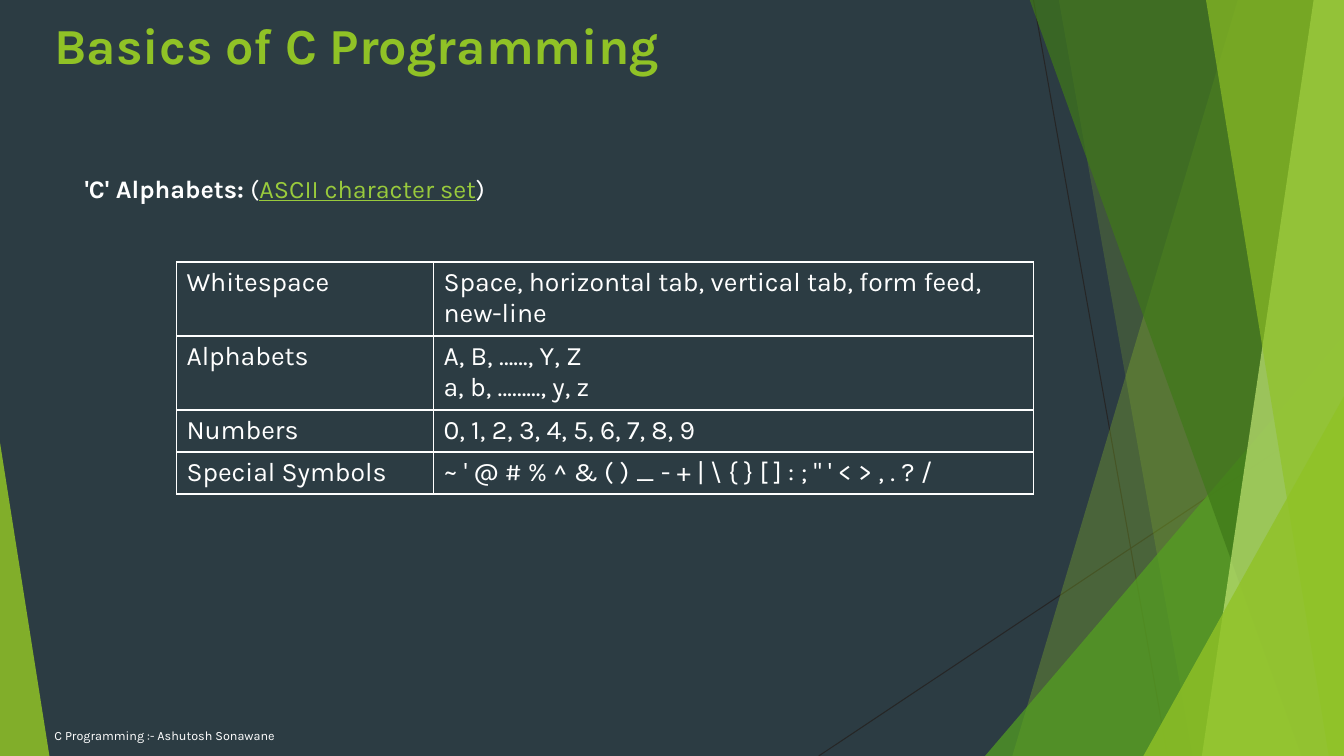
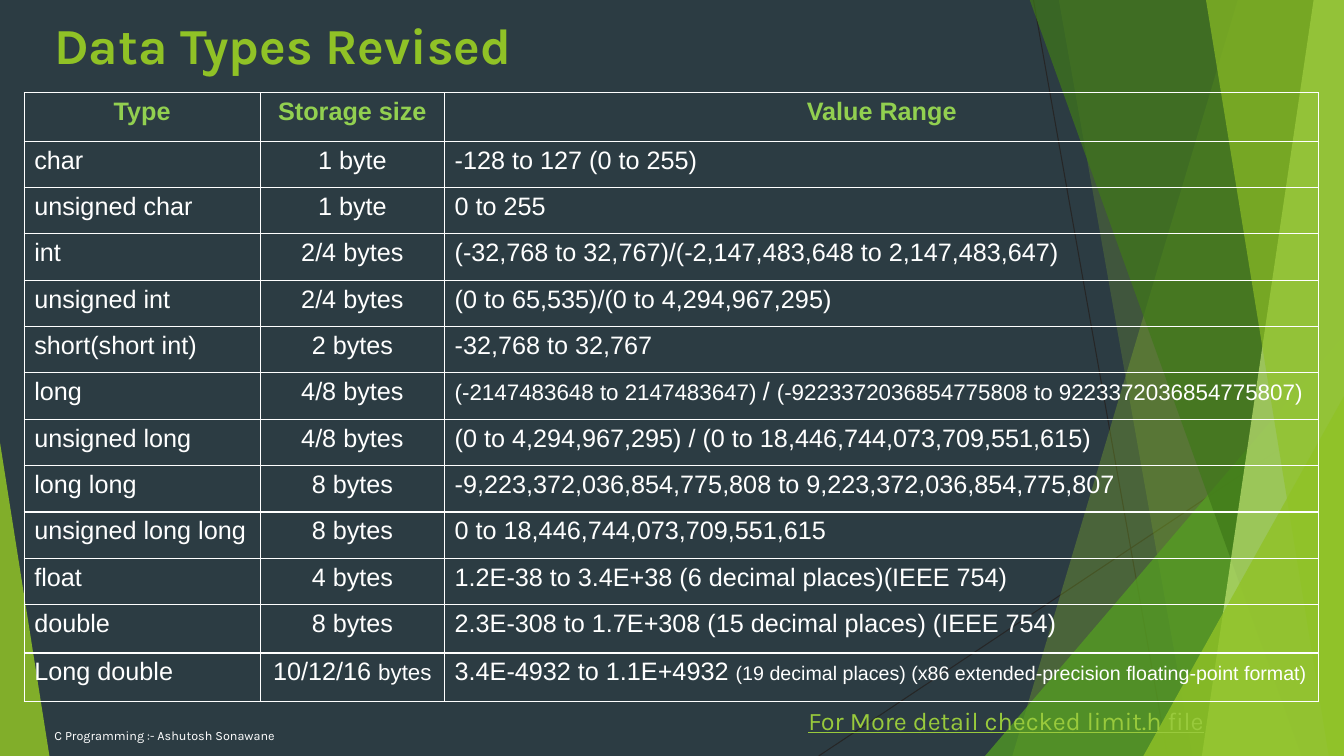
from dataclasses import dataclass
from typing import Optional

from lxml import etree
from pptx import Presentation
from pptx.dml.color import RGBColor
from pptx.enum.shapes import MSO_CONNECTOR, MSO_SHAPE
from pptx.enum.text import MSO_ANCHOR, PP_ALIGN
from pptx.oxml.ns import qn
from pptx.util import Emu, Pt

STRAIGHT = MSO_CONNECTOR.STRAIGHT
TRIANGLE = MSO_SHAPE.ISOSCELES_TRIANGLE
LEFT, CENTER = PP_ALIGN.LEFT, PP_ALIGN.CENTER
TOP, MIDDLE = MSO_ANCHOR.TOP, MSO_ANCHOR.MIDDLE

PX = 9144
WIDTH, HEIGHT = 1333, 750
BLANK_LAYOUT = 6


@dataclass(frozen=True)
class Theme:
    background: str = "2C3C43"
    text: str = "FFFFFF"
    accent: str = "90C226"
    green: str = "54A021"
    dark_green: str = "3F7819"
    pale_green: str = "C0E474"
    header: str = "92D050"
    link: str = "99CA3C"
    hairline: str = "262626"
    font: str = "Karla"
    table_font: str = "Arial"
    title_size: int = 36
    grid_size: int = 19
    body_size: int = 18
    small_size: int = 16
    note_size: int = 14
    footer_size: int = 9
    hairline_width: float = 0.75
    border_width: int = 1


THEME = Theme()


@dataclass(frozen=True)
class Span:
    text: str
    size: Optional[int] = None
    color: Optional[str] = None
    bold: Optional[bool] = None
    underline: Optional[bool] = None


@dataclass(frozen=True)
class TextStyle:
    size: int = THEME.body_size
    color: str = THEME.text
    bold: bool = False
    underline: bool = False
    name: str = THEME.font


def px(length):
    return Emu(length * PX)


def set_font(font, style):
    if style.size is not None:
        font.size = Pt(style.size)
    if style.color is not None:
        font.color.rgb = RGBColor.from_string(style.color)
    if style.bold is not None:
        font.bold = style.bold
    if style.underline is not None:
        font.underline = style.underline


def write(frame, lines, style, align=LEFT):
    for index, spans in enumerate(lines):
        para = frame.paragraphs[0] if index == 0 else frame.add_paragraph()
        para.alignment = align
        para.font.name = style.name
        set_font(para.font, style)
        for span in spans:
            run = para.add_run()
            run.text = span.text
            set_font(run.font, span)


def as_lines(content):
    if isinstance(content, str):
        return [[Span(line)] for line in content.split("\n")]
    return [content]


class SlideBuilder:
    def __init__(self, theme):
        self.theme = theme
        self.deck = Presentation()
        self.deck.slide_width, self.deck.slide_height = px(WIDTH), px(HEIGHT)
        fill = self.deck.slide_master.background.fill
        fill.solid()
        fill.fore_color.rgb = RGBColor.from_string(theme.background)
        self.page = None

    def new_page(self, title):
        layout = self.deck.slide_layouts[BLANK_LAYOUT]
        self.page = self.deck.slides.add_slide(layout)
        self.facets()
        theme = self.theme
        self.text(44, 9, 1098, 83, title,
                  TextStyle(theme.title_size, theme.accent, bold=True))
        self.text(44, 710, 689, 40, "C Programming :- Ashutosh Sonawane",
                  TextStyle(theme.footer_size), MIDDLE)

    def facets(self):
        theme = self.theme
        self.hairline(1025, 0, 1158, HEIGHT)
        self.hairline(WIDTH, 403, 812, HEIGHT)
        self.band(1228, 1004, theme.accent, 30)
        self.band(1050, 1183, theme.accent, 20)
        self.wedge(977, 333, 356, theme.green, 72)
        self.band(1021, 1291, theme.dark_green, 70)
        self.band(1303, 1192, theme.pale_green, 70)
        self.band(1196, 1318, theme.accent, 65)
        self.wedge(1134, 393, 199, theme.accent, 80)
        self.wedge(0, 439, 49, theme.accent, 85, apex=0)

    def hairline(self, x1, y1, x2, y2):
        line = self.page.shapes.add_connector(STRAIGHT, px(x1), px(y1), px(x2), px(y2))
        line.line.color.rgb = RGBColor.from_string(self.theme.hairline)
        line.line.width = Pt(self.theme.hairline_width)
        etree.SubElement(line.element.spPr, qn("a:effectLst"))

    def band(self, top_x, bottom_x, color, opacity):
        outline = self.page.shapes.build_freeform(top_x, -1, scale=PX)
        outline.add_line_segments([(WIDTH, -1), (WIDTH, HEIGHT), (bottom_x, HEIGHT)])
        self.tint(outline.convert_to_shape(), color, opacity)

    def wedge(self, left, top, width, color, opacity, apex=1):
        shape = self.page.shapes.add_shape(
            TRIANGLE, px(left), px(top), px(width), px(HEIGHT - top))
        shape.adjustments[0] = apex
        self.tint(shape, color, opacity)

    def tint(self, shape, color, opacity):
        shape.shadow.inherit = False
        shape.line.fill.background()
        shape.fill.solid()
        shape.fill.fore_color.rgb = RGBColor.from_string(color)
        solid = shape.element.spPr.find(qn("a:solidFill"))
        etree.SubElement(solid[0], qn("a:alpha"), val=str(opacity * 1000))

    def text(self, left, top, width, height, content, style, anchor=TOP):
        box = self.page.shapes.add_textbox(px(left), px(top), px(width), px(height))
        box.text_frame.word_wrap = True
        box.text_frame.vertical_anchor = anchor
        write(box.text_frame, as_lines(content), style)

    def table(self, left, top, widths, heights, rows, style, aligns, header=None):
        table = self.page.shapes.add_table(
            len(rows), len(widths), px(left), px(top),
            px(sum(widths)), px(sum(heights))).table
        table.first_row = table.horz_banding = False
        for column, width in zip(table.columns, widths):
            column.width = px(width)
        for index, (row, height) in enumerate(zip(rows, heights)):
            table.rows[index].height = px(height)
            is_header = header is not None and index == 0
            for cell, content, align in zip(table.rows[index].cells, row, aligns):
                cell.fill.background()
                self.border(cell)
                write(cell.text_frame, as_lines(content),
                      header if is_header else style,
                      CENTER if is_header else align)

    def border(self, cell):
        properties = cell._tc.get_or_add_tcPr()
        for position, side in enumerate(("lnL", "lnR", "lnT", "lnB")):
            line = etree.Element(qn(f"a:{side}"), w=str(Pt(self.theme.border_width)))
            solid = etree.SubElement(line, qn("a:solidFill"))
            etree.SubElement(solid, qn("a:srgbClr"), val=self.theme.text)
            properties.insert(position, line)


ALPHABET_ROWS = [
    ("Whitespace", "Space, horizontal tab, vertical tab, form feed, new-line"),
    ("Alphabets", "A, B, ……, Y, Z\na, b, ……..., y, z"),
    ("Numbers", "0, 1, 2, 3, 4, 5, 6, 7, 8, 9"),
    ("Special Symbols",
     "~ ' @ # % ^ & ( ) _ - + | \\ { } [ ] : ; \" ' < > , . ? /"),
]

TYPE_ROWS = [
    ("Type", "Storage size", "Value Range"),
    ("char", "1 byte", "-128 to 127 (0 to 255)"),
    ("unsigned char", "1 byte", "0 to 255"),
    ("int", "2/4 bytes", "(-32,768 to 32,767)/(-2,147,483,648 to 2,147,483,647)"),
    ("unsigned int", "2/4 bytes", "(0 to 65,535)/(0 to 4,294,967,295)"),
    ("short(short int)", "2 bytes", "-32,768 to 32,767"),
    ("long", "4/8 bytes", [
        Span("(-2147483648 to 2147483647) ", THEME.small_size),
        Span("/ "),
        Span("(-9223372036854775808 to 9223372036854775807)", THEME.small_size)]),
    ("unsigned long", "4/8 bytes",
     "(0 to 4,294,967,295) / (0 to 18,446,744,073,709,551,615)"),
    ("long long", "8 bytes",
     "-9,223,372,036,854,775,808 to 9,223,372,036,854,775,807"),
    ("unsigned long long", "8 bytes", "0 to 18,446,744,073,709,551,615"),
    ("float", "4 bytes", "1.2E-38 to 3.4E+38 (6 decimal places)(IEEE 754)"),
    ("double", "8 bytes", "2.3E-308 to 1.7E+308 (15 decimal places) (IEEE 754)"),
    ("Long double", [Span("10/12/16 "), Span("bytes", THEME.small_size)], [
        Span("3.4E-4932 to 1.1E+4932 "),
        Span("(19 decimal places) (x86 extended-precision floating-point format)",
             THEME.note_size)]),
]


def alphabet_page(builder):
    builder.new_page("Basics of C Programming")
    builder.text(74, 167, 940, 40, [
        Span("'C' Alphabets: ", bold=True),
        Span("("),
        Span("ASCII character set", color=THEME.link, underline=True),
        Span(")")], TextStyle())
    builder.table(175, 260, (255, 595), (72, 72, 41, 41), ALPHABET_ROWS,
                  TextStyle(THEME.grid_size), (LEFT, LEFT))


def data_types_page(builder):
    builder.new_page("Data Types Revised")
    builder.table(24, 92, (234, 183, 867), [48] + [46] * 10 + [48] * 2, TYPE_ROWS,
                  TextStyle(name=THEME.table_font), (LEFT, CENTER, LEFT),
                  TextStyle(color=THEME.header, bold=True, name=THEME.table_font))
    builder.text(792, 695, 425, 40, "For More detail checked limit.h file",
                 TextStyle(color=THEME.link, underline=True))


def main():
    builder = SlideBuilder(THEME)
    alphabet_page(builder)
    data_types_page(builder)
    builder.deck.save("out.pptx")


if __name__ == "__main__":
    main()
